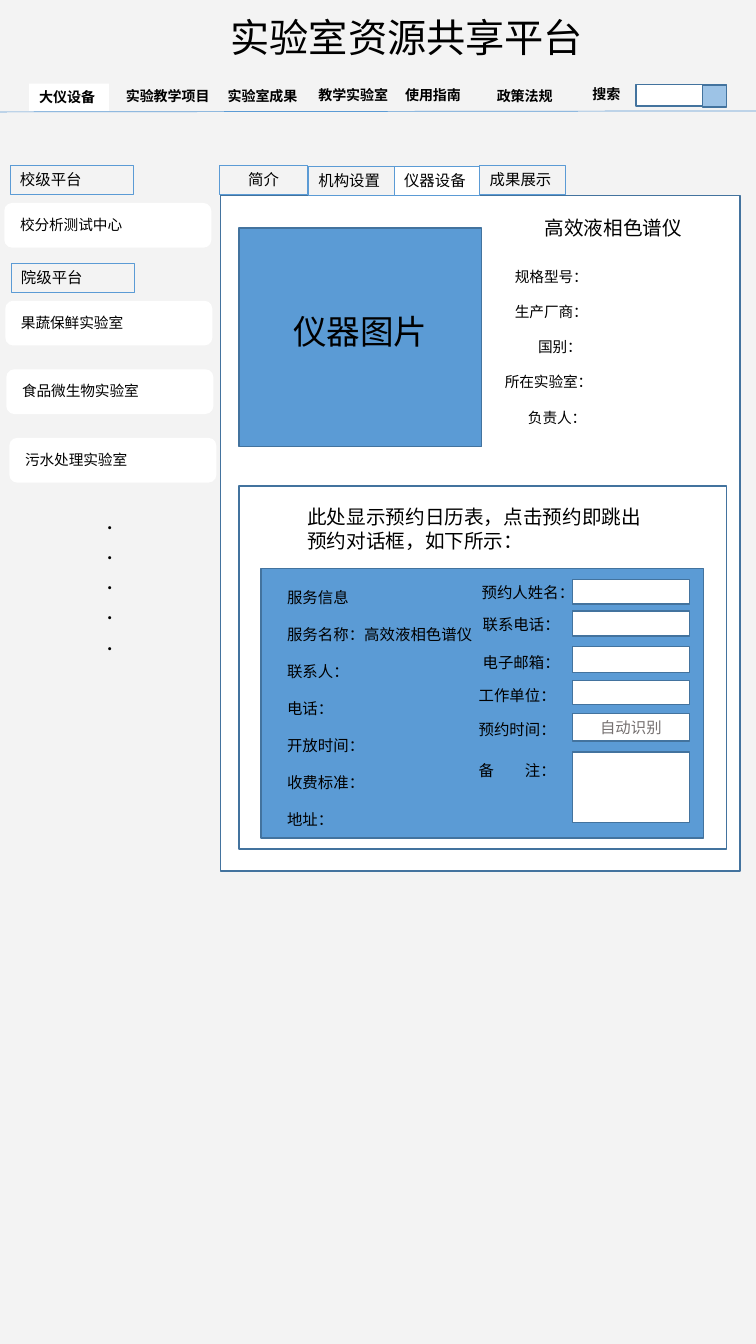
"""Build the laboratory resource sharing platform page."""
from lxml import etree
from pptx import Presentation, util as u
from pptx.dml.color import RGBColor
from pptx.enum import shapes as s, text as t
from pptx.oxml import ns

PX = 9144
BLACK = RGBColor(0, 0, 0)
WHITE = RGBColor(255, 255, 255)
GREY = RGBColor(0x76, 0x71, 0x71)
PAGE = RGBColor(0xF3, 0xF3, 0xF3)
BLUE = RGBColor(0x5B, 0x9B, 0xD5)
LIGHT = RGBColor(0x9D, 0xC3, 0xE6)
EDGE = RGBColor(0x43, 0x73, 0x9E)
CJK = "Noto Sans CJK SC"
LEFT, MID = t.PP_ALIGN.LEFT, t.PP_ALIGN.CENTER
RECT, ROUND = s.MSO_SHAPE.RECTANGLE, s.MSO_SHAPE.ROUNDED_RECTANGLE

deck = Presentation()
deck.slide_width, deck.slide_height = 750 * PX, 1333 * PX
page = deck.slides.add_slide(deck.slide_layouts[6])
page.background.fill.solid()
page.background.fill.fore_color.rgb = PAGE


def box(x, y, w, h, fill=WHITE, edge=EDGE, width=1, kind=RECT):
    """Draw a filled or outlined panel."""
    item = page.shapes.add_shape(kind, x * PX, y * PX, w * PX, h * PX)
    item.shadow.inherit = False
    if fill is None:
        item.fill.background()
    else:
        item.fill.solid()
        item.fill.fore_color.rgb = fill
    if edge is None:
        item.line.fill.background()
    else:
        item.line.color.rgb = edge
        item.line.width = u.Pt(width)
    return item


def label(spot, words, size, align=LEFT, font=CJK, color=BLACK, bold=False,
          space=None, pads=(), tab=None, anchor=t.MSO_ANCHOR.TOP):
    """Write lines into a shape or into a new text box at the given spot."""
    if isinstance(spot, tuple):
        spot = page.shapes.add_textbox(*[n * PX for n in spot])
    frame = spot.text_frame
    frame.word_wrap = True
    frame.vertical_anchor = anchor
    frame.text = words
    for i, para in enumerate(frame.paragraphs):
        para.alignment = align
        if space:
            para.line_spacing = space
        props = para._p.get_or_add_pPr()
        if pads:
            props.set("marL", str(pads[i] * PX))
            props.set("indent", "0")
        if tab:
            stops = etree.SubElement(props, ns.qn("a:tabLst"))
            etree.SubElement(stops, ns.qn("a:tab"), pos=str(tab * PX), algn="l")
        para.font.size = u.Pt(size)
        para.font.bold = bold
        para.font.color.rgb = color
        para.font.name = font
        etree.SubElement(props.find(ns.qn("a:defRPr")), ns.qn("a:ea"), typeface=CJK)


label((219, 8, 390, 57), "实验室资源共享平台", 28)
box(631, 84, 90, 21)
box(697, 85, 24, 21, LIGHT)
box(29, 83, 79, 27, edge=None)
for x, y, w, word in [
    (29, 83, 79, "大仪设备"), (115, 82, 105, "实验教学项目"),
    (216, 82, 95, "实验室成果"), (306, 81, 96, "教学实验室"),
    (392, 81, 78, "使用指南"), (483, 82, 78, "政策法规"), (578, 80, 50, "搜索"),
]:
    label((x, y, w, 27), word, 10, bold=True)

rule = page.shapes.add_connector(s.MSO_CONNECTOR.STRAIGHT, 0, 111 * PX, 750 * PX, 110 * PX)
rule.line.color.rgb = BLUE
rule.line.width = u.Pt(0.5)
etree.SubElement(rule._element.spPr, ns.qn("a:effectLst"))

for x, y, word in [(10, 164, "校级平台"), (11, 261, "院级平台")]:
    label(box(x, y, 123, 29, None, BLUE, 0.75), word, 11)
for x, y, word in [
    (5, 202, "校分析测试中心"), (6, 299, "果蔬保鲜实验室"),
    (7, 367, "食品微生物实验室"), (10, 435, "污水处理实验室"),
]:
    box(x, y, 204, 43, edge=WHITE, kind=ROUND)
    label((x + 5, y + 7, 159, 28), word, 10.5)
label((25, 495, 168, 192), "\n".join("....."), 18, MID, "Calibri")

box(219, 194, 515, 670)
for x, y, w, fill, align, word in [
    (218, 164, 87, None, MID, "简介"), (306, 165, 85, None, LEFT, "机构设置"),
    (391, 165, 85, WHITE, LEFT, "仪器设备"), (476, 164, 85, None, LEFT, "成果展示"),
]:
    label(box(x, y, w, 29, fill, BLUE, 0.75), word, 11, align)

box(237, 226, 241, 217, BLUE)
label((281, 303, 157, 50), "仪器图片", 24)
label((483, 209, 251, 34), "高效液相色谱仪", 14, MID)
label((491, 243, 224, 187), "规格型号：\n生产厂商：\n国别：\n所在实验室：\n负责人：",
      10.5, space=2.0, pads=(10, 10, 33, 0, 23))

box(237, 482, 484, 360)
label((295, 496, 352, 57), "此处显示预约日历表，点击预约即跳出预约对话框，如下所示：", 14)
box(259, 564, 439, 267, BLUE)
label((275, 560, 210, 288),
      "服务信息\n服务名称：高效液相色谱仪\n联系人：\n电话：\n开放时间：\n收费标准：\n地址：",
      11, font="Calibri", space=2.0)
for x, y, word, top, h, hint in [
    (468, 573, "预约人姓名：", 575, 24, ""), (469, 605, "联系电话：", 606, 25, ""),
    (469, 643, "电子邮箱：", 641, 26, ""), (465, 676, "工作单位：", 675, 24, ""),
    (465, 709, "预约时间：", 708, 27, "自动识别"), (465, 750, "备\t注：", 746, 70, ""),
]:
    label((x, y, 210, 29), word, 11, font="Calibri", tab=46 if "\t" in word else None)
    field = box(568, top, 116, h)
    if hint:
        label(field, hint, 11, MID, color=GREY, anchor=t.MSO_ANCHOR.MIDDLE)

deck.save("out.pptx")
